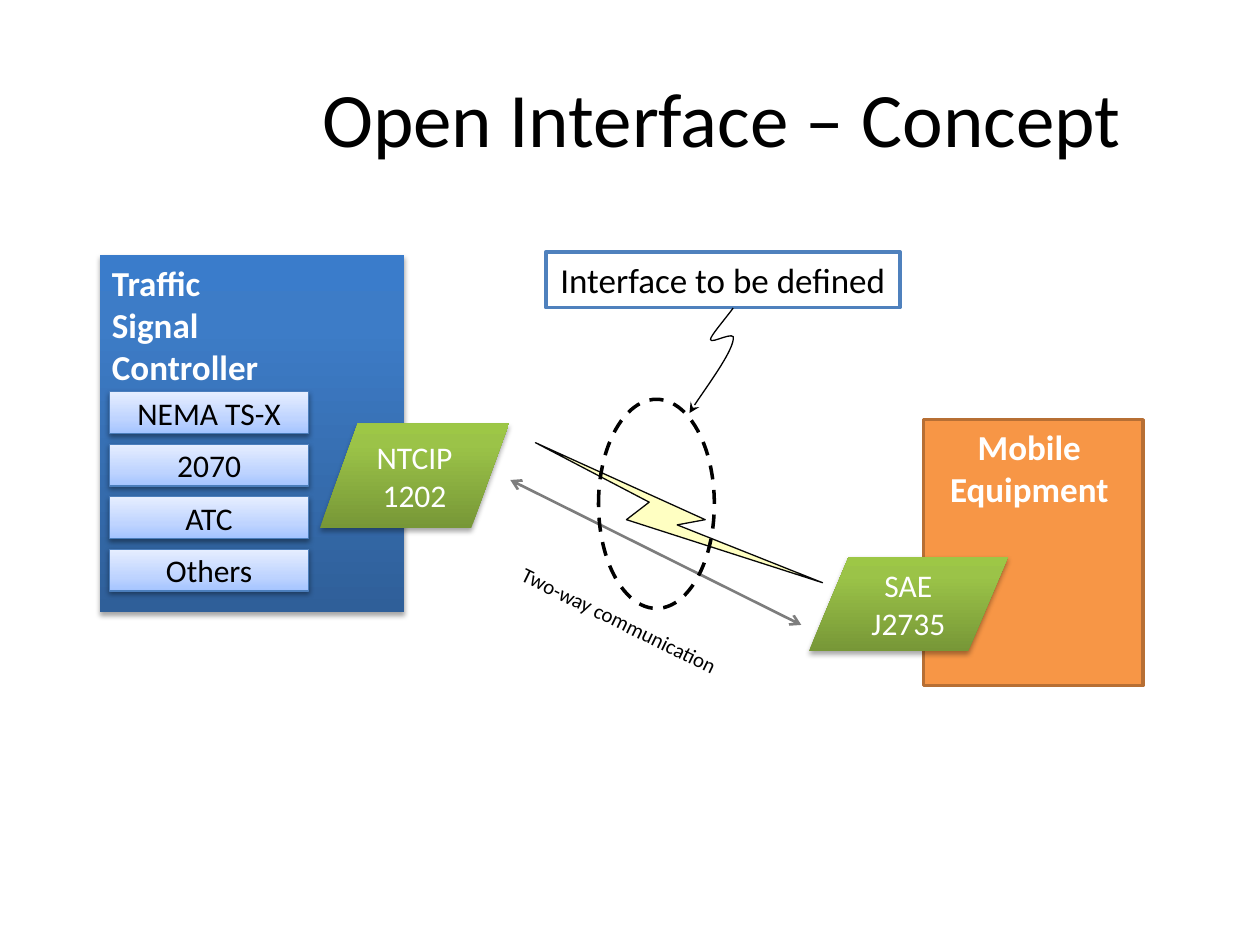
import pptx
import pptx.util
import pptx.oxml
import pptx.oxml.ns
import pptx.dml.color
import pptx.enum.dml
import pptx.enum.shapes
import pptx.enum.text
from lxml import etree

Pt = pptx.util.Pt
KIND = pptx.enum.shapes.MSO_SHAPE
ALIGN = pptx.enum.text.PP_ALIGN
ANCHOR = pptx.enum.text.MSO_ANCHOR
qn = pptx.oxml.ns.qn

BLUE = [(0, "2F5F99"), (80, "3D7CC7"), (100, "3A7CCB")]
GREEN = [(0, "779737"), (80, "9BC348"), (100, "9DC746")]
PALE = [(0, "A4C4FF"), (35, "BFD4FF"), (100, "E6EEFF")]

CONTROLLERS = ["NEMA TS-X", "2070", "ATC", "Others"]
SQUIGGLE = [(419, 176.4), (412.6, 184.3), (406.1, 191.5), (406.1, 194.4),
            (406.1, 197.3), (421.2, 187.9), (419, 194.4),
            (417.6, 201.6), (398.2, 229), (393.8, 236.2)]
BOLT = [(306, 253.4), (403.2, 296.6), (386.6, 300.2), (470.2, 332.6),
        (357.8, 296.6), (370.8, 287.3)]

TITLE = {"at": (0, 21.6, 648, 90), "text": ["Open Interface – Concept"],
         "size": 44, "align": ALIGN.RIGHT}
CALLOUT = {"at": (311.9, 144, 202.4, 31.8), "text": ["Interface to be defined"],
           "fill": "FFFFFF", "line": ("4F81BD", 2), "size": 20, "wrap": False,
           "anchor": ANCHOR.TOP}
ZONE = {"at": (342, 228.2, 66.2, 119.5), "kind": KIND.OVAL, "line": ("000000", 2)}
CAPTION = {"at": (279.4, 343.4, 149, 21.8), "text": ["Two-way communication"],
           "size": 12, "rotation": 26}
MOBILE = {"at": (527.8, 239.8, 125.3, 151.9), "text": ["Mobile ", "Equipment "],
          "fill": "F79646", "line": ("B76F34", 2), "size": 20, "bold": True,
          "color": "FFFFFF", "wrap": False, "anchor": ANCHOR.TOP}
SIGNAL = {"at": (56.9, 145.7, 174.2, 203.8),
          "text": ["Traffic ", "Signal ", "Controller"], "fill": BLUE,
          "shadow": (35, 1.8), "size": 20, "bold": True, "color": "FFFFFF",
          "align": ALIGN.LEFT, "wrap": False, "anchor": ANCHOR.TOP}
PORT = {"kind": KIND.FLOWCHART_DATA, "fill": GREEN, "shadow": (35, 1.8),
        "size": 18, "color": "FFFFFF"}
SAE = {**PORT, "at": (462.2, 318.2, 113.8, 54), "text": ["SAE", "J2735"]}
NTCIP = {**PORT, "at": (182.9, 241.9, 108, 59.8), "text": ["NTCIP", "1202"]}
ROW = {"fill": PALE, "line": ("4B7EBC", 0.75), "shadow": (38, 1.6), "size": 18}
ROW_TOP, ROW_STEP = 223.9, 30


def rgb(value):
    return pptx.dml.color.RGBColor.from_string(value)


def put(parent, tag, **attrs):
    return etree.SubElement(parent, qn(tag), {k: str(v) for k, v in attrs.items()})


def set_alpha(fill, percent):
    color = fill._xPr.find(".//" + qn("a:srgbClr"))
    put(color, "a:alpha", val=percent * 1000)


def set_fill(s, fill):
    if fill is None:
        s.fill.background()
    elif isinstance(fill, str):
        s.fill.solid()
        s.fill.fore_color.rgb = rgb(fill)
    else:
        s.fill.gradient()
        grad = s._element.spPr.find(qn("a:gradFill"))
        for child in list(grad):
            grad.remove(child)
        stops = put(grad, "a:gsLst")
        for pos, color in fill:
            put(put(stops, "a:gs", pos=pos * 1000), "a:srgbClr", val=color)
        put(grad, "a:lin", ang=270 * 60000, scaled=0)


def set_line(s, line):
    if line is None:
        s.line.fill.background()
    else:
        s.line.color.rgb = rgb(line[0])
        s.line.width = Pt(line[1])


def set_shadow(s, shadow):
    s.shadow.inherit = False
    if shadow:
        alpha, dist = shadow
        effects = s._element.spPr.find(qn("a:effectLst"))
        outer = put(effects, "a:outerShdw", blurRad=Pt(3.1), dist=Pt(dist),
                    dir=90 * 60000, rotWithShape=0)
        put(put(outer, "a:srgbClr", val="000000"), "a:alpha", val=alpha * 1000)


def add_arrowheads(s, **heads):
    ln = s.line._get_or_add_ln()
    for end in ("headEnd", "tailEnd"):
        if end in heads:
            put(ln, "a:" + end, type=heads[end])


def write(s, item):
    tf = s.text_frame
    frame = {"word_wrap": item.get("wrap", True),
             "vertical_anchor": item.get("anchor", ANCHOR.MIDDLE)}
    for name, value in frame.items():
        setattr(tf, name, value)
    for i, line in enumerate(item["text"]):
        p = tf.paragraphs[0] if i == 0 else tf.add_paragraph()
        p.alignment = item.get("align", ALIGN.CENTER)
        r = p.add_run()
        r.text = line
        font = {"name": "Calibri", "size": Pt(item["size"]),
                "bold": item.get("bold", False)}
        for name, value in font.items():
            setattr(r.font, name, value)
        r.font.color.rgb = rgb(item.get("color", "000000"))


def add_box(item):
    s = shapes.add_shape(item.get("kind", KIND.RECTANGLE), *map(Pt, item["at"]))
    set_fill(s, item.get("fill"))
    set_line(s, item.get("line"))
    set_shadow(s, item.get("shadow"))
    if "text" in item:
        write(s, item)
    return s


def add_label(item):
    s = shapes.add_textbox(*map(Pt, item["at"]))
    s.rotation = item.get("rotation", 0)
    write(s, item)


def add_outline(points, line, fill=None, close=False):
    builder = shapes.build_freeform(*points[0], scale=Pt(1))
    builder.add_line_segments(points[1:], close=close)
    s = builder.convert_to_shape()
    set_fill(s, fill)
    set_line(s, line)
    set_shadow(s, None)
    return s


def bend(s):
    outline = s._element.spPr.find(".//" + qn("a:path"))
    steps = outline.findall(qn("a:lnTo"))
    for i in range(0, len(steps), 3):
        curve = put(outline, "a:cubicBezTo")
        for step in steps[i:i + 3]:
            curve.append(step[0])
            outline.remove(step)


prs = pptx.Presentation()
prs.slide_width, prs.slide_height = Pt(720), Pt(540)
shapes = prs.slides.add_slide(prs.slide_layouts[6]).shapes

add_label(TITLE)
add_box(CALLOUT)

pointer = add_outline(SQUIGGLE, ("000000", 0.75))
bend(pointer)
add_arrowheads(pointer, tailEnd="stealth")

bolt = add_outline(BOLT, ("080808", 0.75), "FFFF00", close=True)
set_alpha(bolt.fill, 24)

zone = add_box(ZONE)
zone.line.dash_style = pptx.enum.dml.MSO_LINE.DASH

link = shapes.add_connector(pptx.enum.shapes.MSO_CONNECTOR.STRAIGHT,
                            Pt(291.6), Pt(274.3), Pt(457.9), Pt(357.1))
set_line(link, ("000000", 1.5))
set_alpha(link.line.fill, 51)
add_arrowheads(link, headEnd="arrow", tailEnd="arrow")
put(link._element.spPr, "a:effectLst")

add_label(CAPTION)
for item in (MOBILE, SAE, SIGNAL, NTCIP):
    add_box(item)
for i, name in enumerate(CONTROLLERS):
    add_box({**ROW, "text": [name], "at": (62.6, ROW_TOP + i * ROW_STEP, 113.8, 23.8)})

prs.save("out.pptx")
